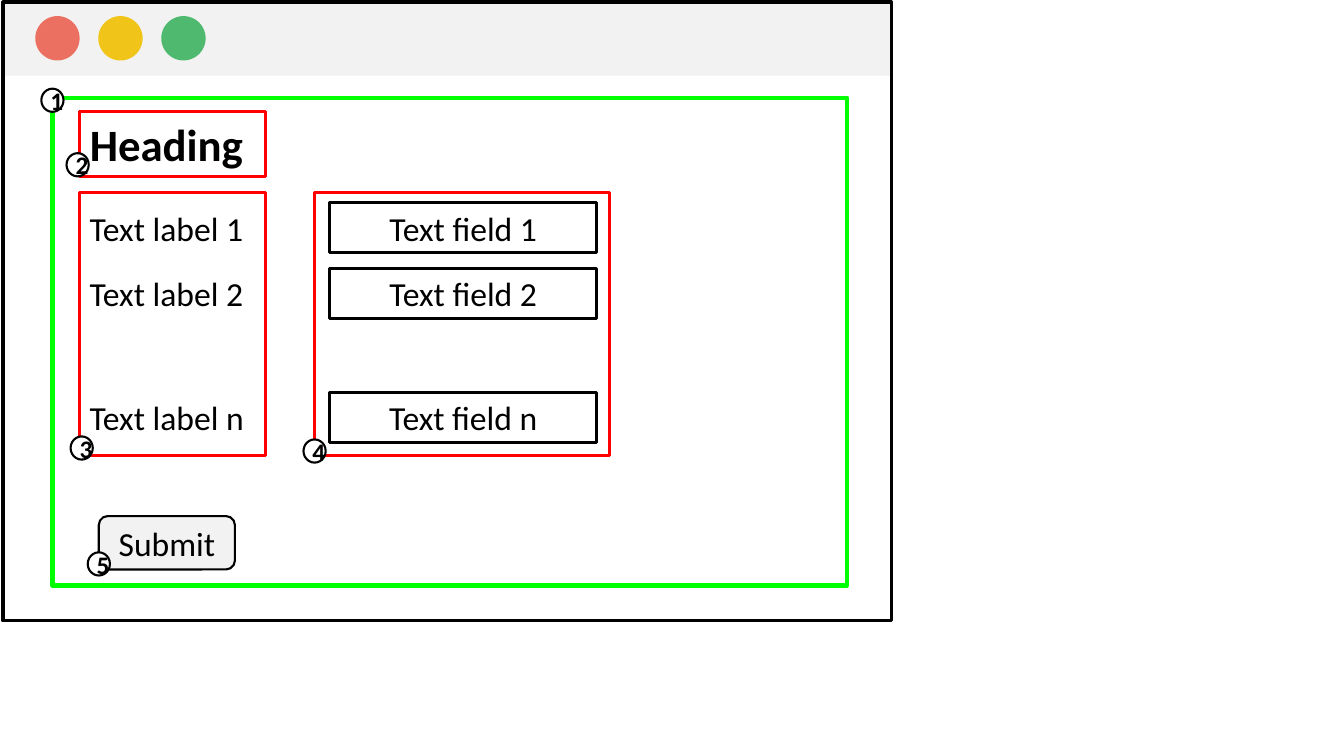
from pptx import Presentation
from pptx.dml.color import RGBColor
from pptx.enum.shapes import MSO_SHAPE as SHAPE
from pptx.enum.text import MSO_ANCHOR as ANCHOR, MSO_AUTO_SIZE as AUTO, PP_ALIGN as ALIGN
from pptx.util import Inches, Pt

BLACK, WHITE, GREY = "000000", "FFFFFF", "F2F2F2"
RED, GREEN = "FF0000", "00FF00"
CELL = 0.1  # grid cell in inches: 133.3 columns by 75 rows


def rgb(code):
    """Turn a hex string into a colour."""
    return RGBColor.from_string(code)


def grid(*cells):
    """Turn grid columns or rows into slide lengths."""
    return [Inches(n * CELL) for n in cells]


class Wireframe:
    """Holds the text style and the slide that is being drawn."""

    font, size = "Calibri", 24

    def __init__(self, slide):
        """Start drawing on the given slide."""
        self.s = slide

    def set_text(self, sp, text, size=None, bold=False, align=ALIGN.CENTER, anchor=ANCHOR.MIDDLE):
        """Put one formatted line of text into a shape."""
        tf = sp.text_frame
        tf.text = text
        tf.vertical_anchor = anchor
        p = tf.paragraphs[0]
        p.alignment = align
        font = p.runs[0].font
        font.name, font.size, font.bold = self.font, Pt(size or self.size), bold
        font.color.rgb = rgb(BLACK)

    def fit(self, sp):
        """Let a text frame grow with its single line."""
        sp.text_frame.word_wrap = False
        sp.text_frame.auto_size = AUTO.SHAPE_TO_FIT_TEXT

    def shape(self, box, kind=SHAPE.RECTANGLE, fill=None, line=None, width=2.25):
        """Draw a preset shape, with a fill and an outline if given."""
        sp = self.s.shapes.add_shape(kind, *grid(*box))
        sp.shadow.inherit = False
        if fill:
            sp.fill.solid()
            sp.fill.fore_color.rgb = rgb(fill)
        else:
            sp.fill.background()
        if line:
            sp.line.color.rgb = rgb(line)
            sp.line.width = Pt(width)
        else:
            sp.line.fill.background()
        return sp

    def heading(self, box, text):
        """Place the title in front of everything drawn so far."""
        title = self.s.shapes.title
        self.s.shapes[-1].element.addnext(title.element)
        title.left, title.top, title.width, title.height = grid(*box)
        self.set_text(title, text, 32, True, ALIGN.LEFT, ANCHOR.TOP)
        self.fit(title)

    def label(self, box, text):
        """Add a left-aligned text label."""
        sp = self.s.shapes.add_textbox(*grid(*box))
        self.set_text(sp, text, align=ALIGN.LEFT, anchor=ANCHOR.TOP)
        self.fit(sp)

    def field(self, box, text):
        """Add an outlined text field."""
        self.set_text(self.shape(box, fill=WHITE, line=BLACK), text)

    def button(self, box, text):
        """Add a rounded button."""
        self.set_text(self.shape(box, SHAPE.ROUNDED_RECTANGLE, GREY, BLACK, 1.5), text)

    def badge(self, x, y, number):
        """Add a numbered circle centred on a point."""
        w, h = 2.2, 2.3
        sp = self.shape((x - w / 2, y - h / 2, w, h), SHAPE.OVAL, WHITE, BLACK, 1.5)
        self.set_text(sp, str(number), 18, True)


prs = Presentation()
prs.slide_width, prs.slide_height = Inches(13.33), Inches(7.5)
title_only = prs.slide_layouts[5]
wf = Wireframe(prs.slides.add_slide(title_only))

# Browser window
left, top, width = 0.3, 0.2, 88.1
wf.shape((left, top, width, 7.3), fill=GREY)
wf.shape((left, top, width, 61.4), line=BLACK)
for i, light in enumerate(["EB7061", "F0C419", "4FBA6F"]):
    wf.shape((3.5 + 6.25 * i, 1.6, 4.4, 4.4), SHAPE.OVAL, light)

# Form
label_x, field_x, row_h = 7.9, 32.7, 5
wf.shape((5.2, 9.7, 78.8, 48.4), fill=WHITE, line=GREEN, width=3)
wf.heading((label_x, 11.1, 17.4, 6.4), "Heading")
for name, y in {"1": 20.1, "2": 26.6, "n": 38.9}.items():
    wf.label((label_x, y, 17.8, row_h), f"Text label {name}")
    wf.field((field_x, y, 26.5, row_h), f"Text field {name}")
wf.button((9.8, 51.2, 13.5, 5.3), "Submit")

# Regions of the form: heading, labels, fields
for region in [(label_x, 11.1, 18.4, 6.4), (label_x, 19.1, 18.4, 26.1), (31.2, 19.1, 29.3, 26.1)]:
    wf.shape(region, line=RED)

badge_centres = [(5.2, 9.95), (7.7, 16.35), (8.1, 44.45), (31.2, 44.75), (9.8, 55.95)]
for number, (x, y) in enumerate(badge_centres, 1):
    wf.badge(x, y, number)

prs.save("out.pptx")
